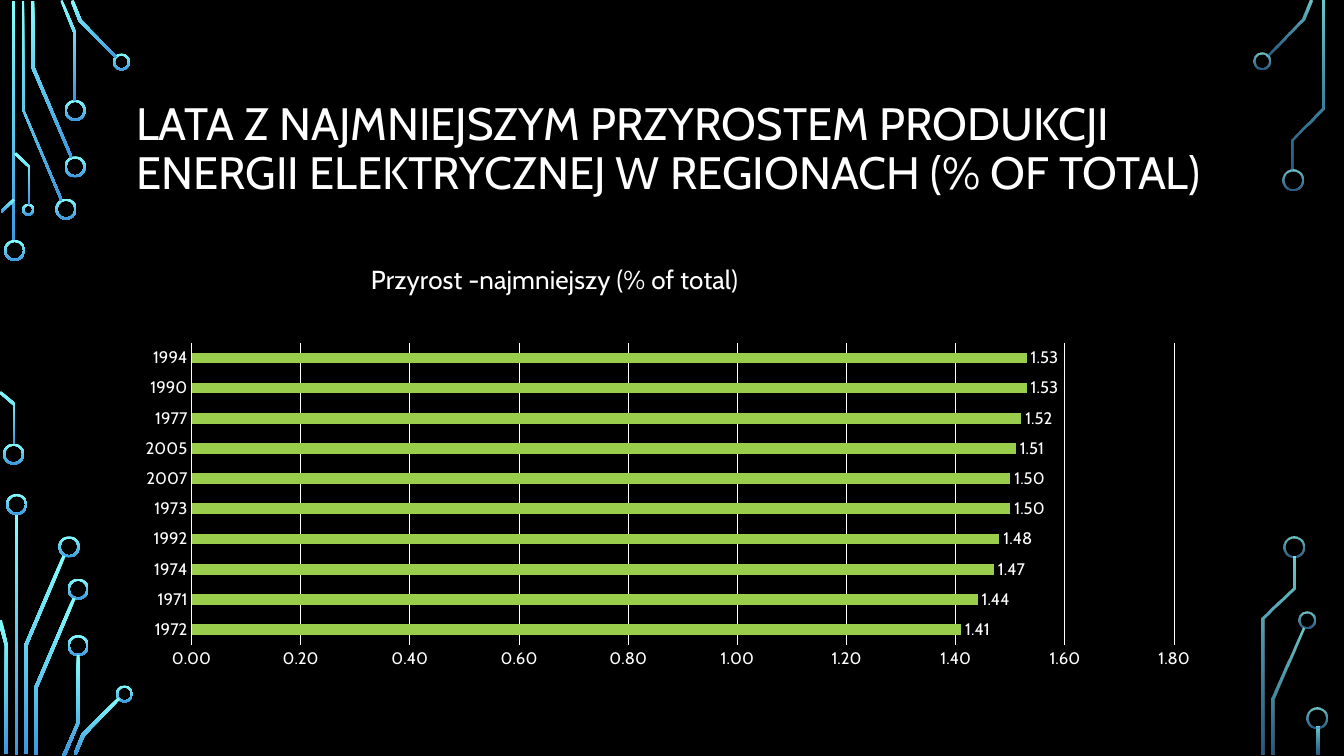
from dataclasses import dataclass

from lxml.etree import SubElement
from pptx import Presentation
from pptx.chart.data import CategoryChartData
from pptx.dml.color import RGBColor
from pptx.enum.chart import XL_CHART_TYPE as ChartType, XL_LABEL_POSITION as LabelPosition
from pptx.enum.chart import XL_TICK_MARK as TickMark
from pptx.enum.shapes import MSO_SHAPE as Preset
from pptx.enum.text import MSO_ANCHOR as Anchor, PP_ALIGN as Align
from pptx.oxml import parse_xml
from pptx.oxml.ns import nsdecls, qn
from pptx.util import Pt

PX = 9144  # EMU per px, 100 px to the inch
SLIDE_WIDTH, SLIDE_HEIGHT = 1333, 750
RIGHT_SIDE = 1200  # circuit parts beyond this are faded


@dataclass(frozen=True)
class Theme:
    font: str = "Cabin"
    background: RGBColor = RGBColor(0x00, 0x00, 0x00)
    text: RGBColor = RGBColor(0xFF, 0xFF, 0xFF)
    bar: RGBColor = RGBColor(0x9A, 0xCD, 0x4C)
    glow: tuple = (RGBColor(0x82, 0xFF, 0xFF), RGBColor(0x3D, 0x97, 0xDE))
    faded_alpha: tuple = (80, 60)
    title_size: float = 32.4
    chart_title_size: float = 18.6
    label_size: float = 11.9
    line_width: float = 0.75


@dataclass(frozen=True)
class Ring:
    left: int
    top: int
    size: int = 21


@dataclass(frozen=True)
class Strip:
    left: int
    top: int
    height: int
    width: int = 3


@dataclass(frozen=True)
class Trace:
    outline: tuple


THEME = Theme()

RINGS = [
    Ring(4, 238), Ring(3, 440), Ring(55, 197), Ring(64, 155), Ring(64, 99),
    Ring(112, 53, 17), Ring(22, 202, 12), Ring(6, 490), Ring(58, 532),
    Ring(67, 574), Ring(67, 630), Ring(115, 680, 17),
    Ring(1243, 52, 17), Ring(1272, 168), Ring(1288, 607, 17), Ring(1273, 532),
    Ring(1296, 702),
]
STRIPS = [Strip(12, 1, 239), Strip(15, 510, 239), Strip(1306, 721, 28)]
TRACES = [
    # Upper left
    Trace(((60, 199), (22, 109), (22, 1), (24, 1), (24, 109), (62, 198))),
    Trace(((70, 157), (31, 67), (31, 1), (34, 1), (34, 66), (72, 156))),
    Trace(((76, 100), (73, 100), (73, 33), (60, 1), (62, 0), (76, 33))),
    Trace(((115, 58), (78, 21), (70, 1), (73, 0), (81, 20), (116, 56))),
    Trace(((2, 211), (1, 209), (13, 197), (15, 199))),
    Trace(((15, 441), (13, 441), (13, 402), (-1, 390), (1, 388), (15, 400))),
    Trace(((30, 203), (28, 203), (28, 166), (14, 153), (16, 151), (30, 165))),
    # Lower left
    Trace(((27, 748), (24, 748), (24, 640), (62, 551), (65, 552), (27, 641))),
    Trace(((8, 748), (5, 748), (5, 641), (-2, 616), (2, 615), (8, 641))),
    Trace(((37, 749), (34, 749), (34, 682), (72, 593), (75, 594), (37, 683))),
    Trace(((65, 750), (62, 749), (76, 717), (76, 650), (79, 650), (79, 717))),
    Trace(((76, 749), (73, 748), (81, 728), (117, 692), (119, 694), (84, 730))),
    # Right
    Trace(((1258, 56), (1256, 55), (1291, 19), (1299, 0), (1302, 1), (1294, 20))),
    Trace(((1264, 749), (1261, 749), (1261, 693), (1292, 623), (1294, 624), (1264, 694))),
    Trace(((1283, 169), (1281, 169), (1281, 138), (1311, 107), (1311, 1), (1314, 1),
           (1314, 108), (1283, 139))),
    Trace(((1254, 749), (1251, 749), (1251, 613), (1282, 583), (1282, 552), (1285, 552),
           (1285, 584), (1254, 614))),
]

GROWTH = {"1972": 1.41, "1971": 1.44, "1974": 1.47, "1992": 1.48, "1973": 1.5,
          "2007": 1.5, "2005": 1.51, "1977": 1.52, "1990": 1.53, "1994": 1.53}


def style_font(font, size: float) -> None:
    font.name, font.size, font.bold = THEME.font, Pt(size), False
    font.color.rgb = THEME.text


def apply_glow(shape, faded: bool) -> None:
    """Fill a circuit part from cyan down to blue, without outline."""
    shape.shadow.inherit = False
    shape.line.fill.background()
    shape.fill.gradient()
    shape.fill.gradient_angle = 270
    for stop, color in zip(shape.fill.gradient_stops, THEME.glow):
        stop.color.rgb = color
    if faded:
        for color, alpha in zip(shape.element.iter(qn("a:srgbClr")), THEME.faded_alpha):
            SubElement(color, qn("a:alpha")).set("val", str(alpha * 1000))


def draw_ring(slide, ring: Ring) -> None:
    shape = slide.shapes.add_shape(Preset.DONUT, ring.left * PX, ring.top * PX,
                                   ring.size * PX, ring.size * PX)
    shape.adjustments[0] = 2 / ring.size
    apply_glow(shape, ring.left > RIGHT_SIDE)


def draw_strip(slide, strip: Strip) -> None:
    shape = slide.shapes.add_shape(Preset.RECTANGLE, strip.left * PX, strip.top * PX,
                                   strip.width * PX, strip.height * PX)
    apply_glow(shape, strip.left > RIGHT_SIDE)


def draw_trace(slide, trace: Trace) -> None:
    start, *others = trace.outline
    builder = slide.shapes.build_freeform(*start, scale=PX)
    builder.add_line_segments(others, close=True)
    apply_glow(builder.convert_to_shape(), start[0] > RIGHT_SIDE)


def set_layout(parent, index: int, inner: bool = False, **fractions: float) -> None:
    """Place a chart part by fractions of the chart's size."""
    for old in parent.findall(qn("c:layout")):
        parent.remove(old)
    target = '<c:layoutTarget val="inner"/>' if inner else ""
    modes = "".join(f'<c:{key}Mode val="edge"/>' for key in "xy")
    values = "".join(f'<c:{key} val="{value}"/>' for key, value in fractions.items())
    parent.insert(index, parse_xml(
        f'<c:layout {nsdecls("c")}><c:manualLayout>{target}{modes}{values}'
        "</c:manualLayout></c:layout>"))


def add_title(slide, text: str) -> None:
    title = slide.shapes.title
    title.left, title.top, title.width, title.height = (
        value * PX for value in (125, 68, 1083, 162))
    frame = title.text_frame
    frame.text, frame.word_wrap, frame.vertical_anchor = text, True, Anchor.MIDDLE
    paragraph = frame.paragraphs[0]
    paragraph.alignment, paragraph.line_spacing = Align.LEFT, 0.9
    style_font(paragraph.font, THEME.title_size)
    slide.shapes.element.append(title.element)  # bring to the front


def add_growth_chart(slide) -> None:
    data = CategoryChartData(number_format="0.00")
    data.categories = list(GROWTH)
    data.add_series("Series 1", list(GROWTH.values()))
    chart = slide.shapes.add_chart(ChartType.BAR_CLUSTERED, 125 * PX, 246 * PX,
                                   1083 * PX, 428 * PX, data).chart
    style_font(chart.font, THEME.label_size)
    chart.has_legend = False

    # Chart title
    frame = chart.chart_title.text_frame
    frame.text = "Przyrost -najmniejszy (% of total)"
    style_font(frame.paragraphs[0].font, THEME.chart_title_size)
    chart.chart_title.include_in_layout = False
    title = chart.element.find(".//" + qn("c:title"))
    set_layout(title, 1, x=0.22, y=0.02)
    plot_area = chart.element.find(".//" + qn("c:plotArea"))
    set_layout(plot_area, 0, inner=True, x=0.06, y=0.22, w=0.9, h=0.7)

    # Axes
    years, values = chart.category_axis, chart.value_axis
    for axis in (years, values):
        axis.major_tick_mark = axis.minor_tick_mark = TickMark.NONE
        style_font(axis.tick_labels.font, THEME.label_size)
    values.minimum_scale, values.maximum_scale, values.major_unit = 0, 1.8, 0.2
    values.tick_labels.number_format = "0.00"
    values.tick_labels.number_format_is_linked = False
    values.format.line.fill.background()
    for line in (years.format.line, values.major_gridlines.format.line):
        line.color.rgb, line.width = THEME.text, Pt(THEME.line_width)

    # Bars and their labels
    plot = chart.plots[0]
    plot.gap_width, plot.vary_by_categories = 182, False
    fill = plot.series[0].format.fill
    fill.solid()
    fill.fore_color.rgb = THEME.bar
    labels = plot.series[0].data_labels
    labels.show_value, labels.position = True, LabelPosition.OUTSIDE_END
    labels.number_format, labels.number_format_is_linked = "0.00", False
    style_font(labels.font, THEME.label_size)


def main() -> None:
    presentation = Presentation()
    presentation.slide_width, presentation.slide_height = SLIDE_WIDTH * PX, SLIDE_HEIGHT * PX
    slide = presentation.slides.add_slide(presentation.slide_layouts[5])
    slide.background.fill.solid()
    slide.background.fill.fore_color.rgb = THEME.background
    for draw, parts in ((draw_strip, STRIPS), (draw_ring, RINGS), (draw_trace, TRACES)):
        for part in parts:
            draw(slide, part)
    add_title(slide, "LATA Z NAJMNIEJSZYM PRZYROSTEM PRODUKCJI ENERGII ELEKTRYCZNEJ "
                     "W REGIONACH (% OF TOTAL)")
    add_growth_chart(slide)
    presentation.save("out.pptx")


if __name__ == "__main__":
    main()
